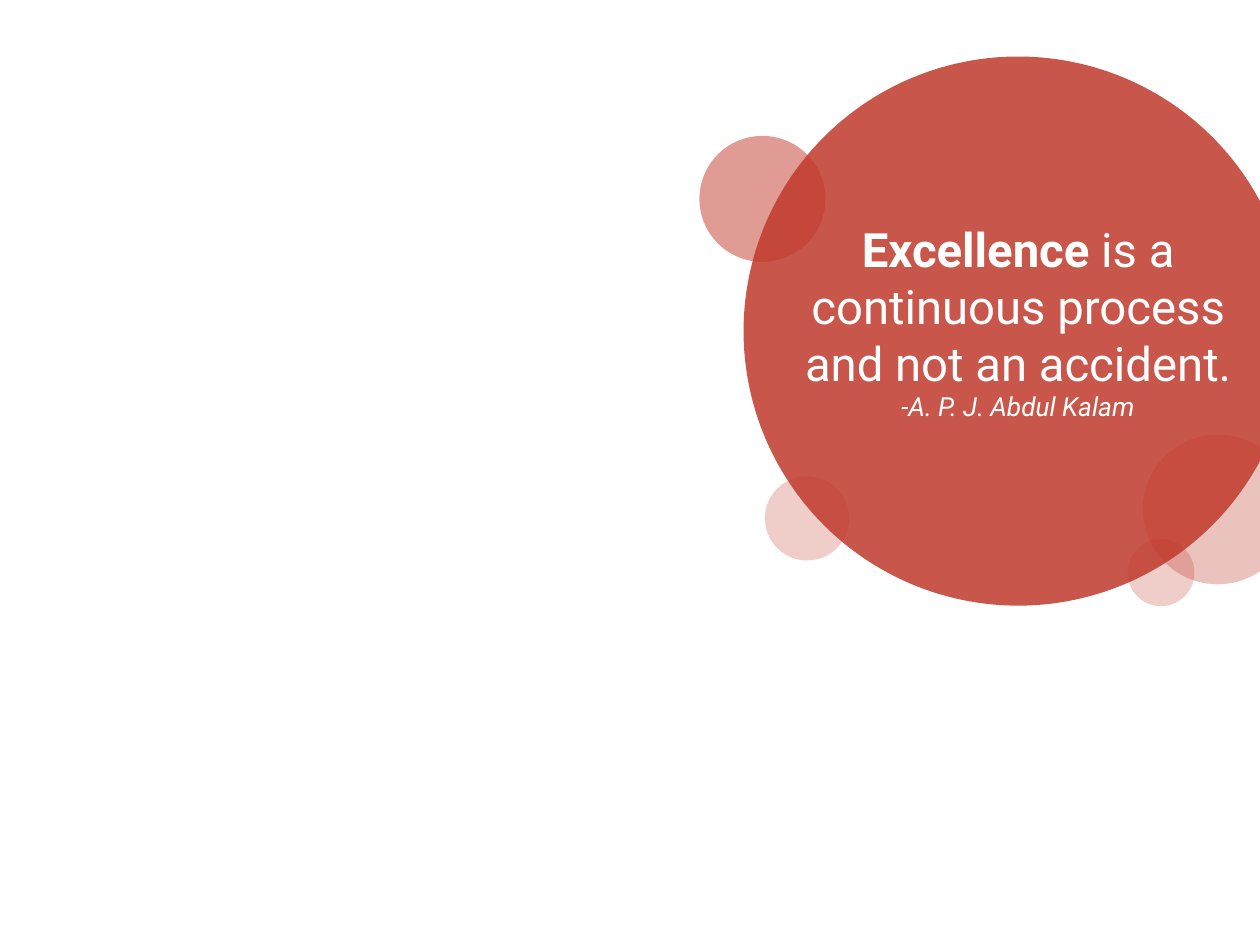
from pptx import Presentation
from pptx.dml.color import RGBColor
from pptx.enum.shapes import MSO_SHAPE as Shape
from pptx.enum.text import MSO_AUTO_SIZE as Fit, PP_ALIGN as Align
from pptx.oxml.ns import qn
from pptx.util import Cm, Pt
from lxml.etree import SubElement

RED = RGBColor(0xC0, 0x39, 0x2B)
WHITE = RGBColor(0xFF, 0xFF, 0xFF)
FONT = "Roboto"

BUBBLES = [
    (0, 1.6, 2.54, 50),
    (0.89, 0, 11.07, 85),
    (8.94, 7.62, 3.02, 30),
    (8.63, 9.73, 1.35, 25),
    (1.32, 8.46, 1.7, 25),
]
QUOTE = [
    [("Excellence ", 27, True, False),
     ("is a continuous process and not an accident.", 27, False, False)],
    [("-A. P. J. Abdul Kalam", 15, False, True)],
]


def add_bubble(slide, left, top, size, alpha):
    """Draw one see-through circle; alpha is its opacity in percent."""
    disc = slide.shapes.add_shape(Shape.OVAL, Cm(left), Cm(top), Cm(size), Cm(size))
    disc.shadow.inherit = False
    disc.line.fill.background()
    disc.fill.solid()
    disc.fill.fore_color.rgb = RED
    color = disc.element.spPr.find(qn("a:solidFill"))[0]
    SubElement(color, qn("a:alpha")).set("val", str(alpha * 1000))


def add_bubbles(slide, left, top):
    """Place the cluster of circles from its top left corner."""
    for x, y, size, alpha in BUBBLES:
        add_bubble(slide, left + x, top + y, size, alpha)


def add_quote(slide, left, top, width, height):
    """Set the quote and its author in the given box."""
    box = slide.shapes.add_textbox(Cm(left), Cm(top), Cm(width), Cm(height))
    frame = box.text_frame
    frame.word_wrap = True
    frame.auto_size = Fit.SHAPE_TO_FIT_TEXT
    for i, parts in enumerate(QUOTE):
        para = frame.add_paragraph() if i else frame.paragraphs[0]
        para.alignment = Align.CENTER
        for text, size, bold, italic in parts:
            run = para.add_run()
            run.text = text
            font = run.font
            font.name, font.size = FONT, Pt(size)
            font.bold, font.italic = bold, italic
            font.color.rgb = WHITE


def main():
    """Build the quote slide and save it."""
    deck = Presentation()
    deck.slide_width, deck.slide_height = Cm(25.4), Cm(19.05)
    slide = deck.slides.add_slide(deck.slide_layouts[6])
    add_bubbles(slide, 14.1, 1.14)
    add_quote(slide, 15.75, 4.32, 9.55, 4.37)
    deck.save("out.pptx")


if __name__ == "__main__":
    main()
